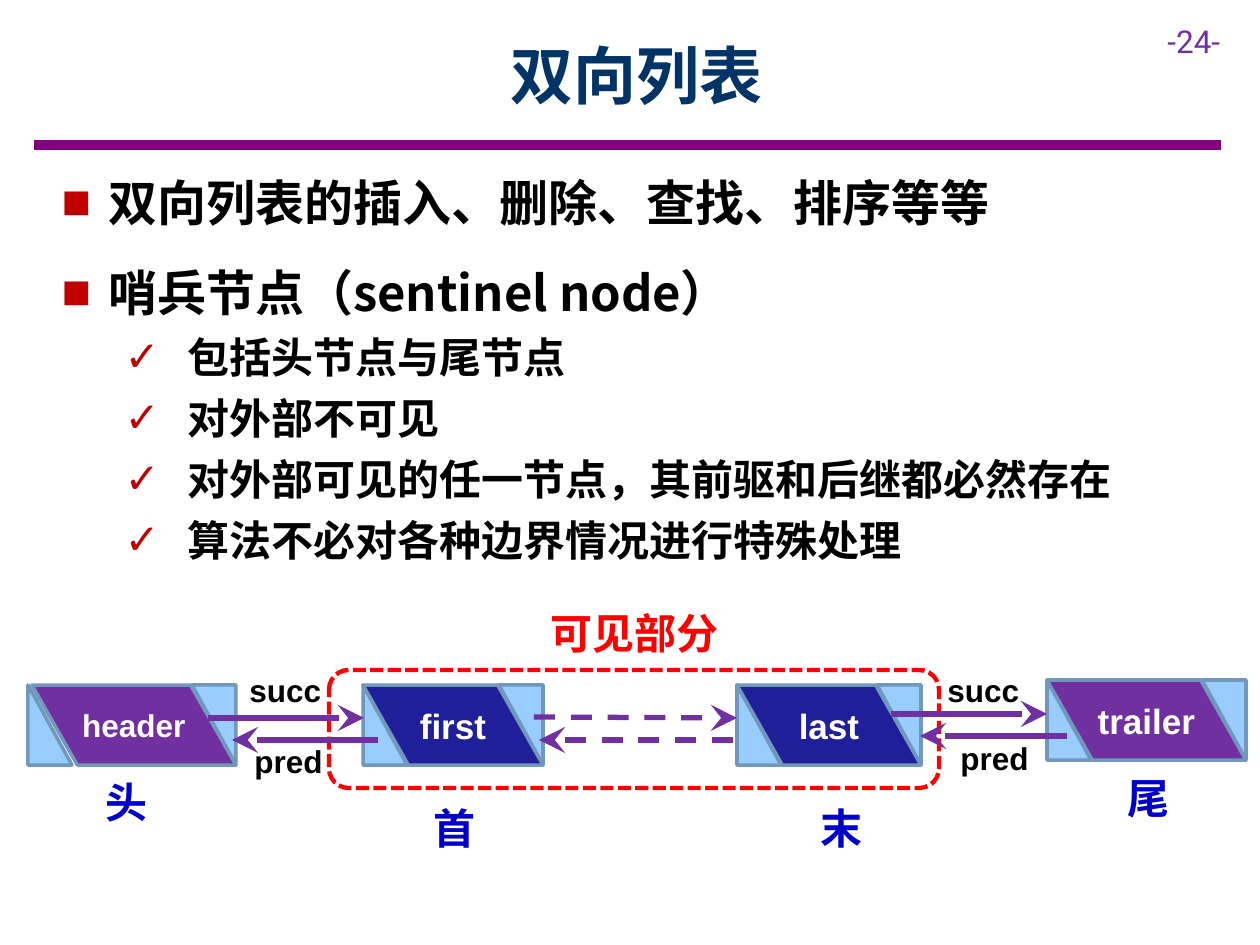
from dataclasses import dataclass

from lxml.etree import SubElement
from pptx import Presentation
from pptx.dml.color import RGBColor
from pptx.enum.dml import MSO_LINE
from pptx.enum.shapes import MSO_CONNECTOR, MSO_SHAPE
from pptx.enum.text import MSO_ANCHOR, MSO_AUTO_SIZE, PP_ALIGN
from pptx.oxml.ns import qn
from pptx.util import Pt

EMU_PER_PX = 914400 / 126
CJK, LATIN = "Noto Sans CJK SC", "Arial"
PURPLE, NAVY, SKY, EDGE = "7030A0", "1F1F99", "99CCFF", "7197BD"
RED, BLUE, BLACK, WHITE, BULLET_RED = "FF0000", "0000CC", "000000", "FFFFFF", "C00000"
NODE_HEIGHT, CORNER_WIDTH = 80, 44


@dataclass
class Node:
    label: str
    left: int
    top: int
    width: int
    color: str
    size: int = 20
    inset: int = 0


@dataclass
class Link:
    start: tuple[int, int]
    end: tuple[int, int]
    dashed: bool = False


@dataclass
class Label:
    text: str
    left: int
    top: int
    width: int
    height: int
    size: int
    color: str
    font: str = CJK
    bold: bool = True


@dataclass
class BulletStyle:
    mark: str
    size: int
    indent: int
    hanging: int
    level: int


SECTION = BulletStyle("■", 28, 47, 47, 0)
DETAIL = BulletStyle("✓", 24, 126, 63, 1)

NODES = [
    Node("header", 28, 685, 208, PURPLE, 18, 4),
    Node("first", 363, 685, 180, NAVY),
    Node("last", 737, 685, 184, NAVY),
    Node("trailer", 1047, 680, 199, PURPLE),
]
LINKS = [
    Link((208, 718), (364, 718)),
    Link((378, 740), (232, 740)),
    Link((891, 714), (1047, 714)),
    Link((1067, 736), (920, 736)),
    Link((534, 717), (737, 718), True),
    Link((733, 740), (539, 740), True),
]
LABELS = [
    Label("-24-", 1155, 16, 105, 50, 18, PURPLE, "Roboto", False),
    Label("可见部分", 538, 601, 198, 63, 24, RED),
    *(Label(text, left, top, 105, 50, 18, BLACK, LATIN) for text, left, top in
      [("succ", 237, 665), ("pred", 242, 736), ("succ", 935, 665), ("pred", 948, 733)]),
    *(Label(text, left, top, 82, 63, 24, BLUE) for text, left, top in
      [("头", 93, 770), ("首", 421, 796), ("末", 808, 796), ("尾", 1115, 766)]),
]
OPERATIONS = [("双向列表的插入、删除、查找、排序等等", SECTION)]
SENTINELS = [
    ("哨兵节点（sentinel node）", SECTION),
    ("包括头节点与尾节点", DETAIL),
    ("对外部不可见", DETAIL),
    ("对外部可见的任一节点，其前驱和后继都必然存在", DETAIL),
    ("算法不必对各种边界情况进行特殊处理", DETAIL),
]


def px(length: int) -> int:
    return round(length * EMU_PER_PX)


def box(*lengths: int) -> list[int]:
    return [px(length) for length in lengths]


def rgb(color: str) -> RGBColor:
    return RGBColor.from_string(color)


def add_run(paragraph, text: str, size: int, color: str, font: str, bold: bool = True) -> None:
    run = paragraph.add_run()
    run.text = text
    run.font.size, run.font.bold, run.font.name = Pt(size), bold, font
    run.font.color.rgb = rgb(color)
    SubElement(run.font._element, qn("a:ea"), typeface=font)


def move(placeholder, left: int, top: int, width: int, height: int) -> None:
    placeholder.left, placeholder.top, placeholder.width, placeholder.height = box(
        left, top, width, height)
    placeholder.text_frame.auto_size = MSO_AUTO_SIZE.NONE


def fill_list(placeholder, items: list[tuple[str, BulletStyle]]) -> None:
    frame = placeholder.text_frame
    for index, (text, style) in enumerate(items):
        paragraph = frame.add_paragraph() if index else frame.paragraphs[0]
        paragraph.level = style.level
        paragraph.space_before, paragraph.space_after = Pt(0), Pt(6)
        properties = paragraph._p.get_or_add_pPr()
        properties.set("marL", str(px(style.indent)))
        properties.set("indent", str(-px(style.hanging)))
        SubElement(SubElement(properties, qn("a:buClr")), qn("a:srgbClr"), val=BULLET_RED)
        SubElement(properties, qn("a:buFont"), typeface=LATIN)
        SubElement(properties, qn("a:buChar"), char=style.mark)
        add_run(paragraph, text, style.size, BLACK, CJK)


def add_label(shapes, label: Label) -> None:
    frame = shapes.add_textbox(*box(label.left, label.top, label.width, label.height)).text_frame
    frame.word_wrap = True
    add_run(frame.paragraphs[0], label.text, label.size, label.color, label.font, label.bold)


def add_block(shapes, kind, bounds: list[int], fill: str, edge: str = EDGE, weight: float = 2):
    block = shapes.add_shape(kind, *bounds)
    block.shadow.inherit = False
    block.fill.solid()
    block.fill.fore_color.rgb = rgb(fill)
    block.line.color.rgb, block.line.width = rgb(edge), Pt(weight)
    return block


def add_node(shapes, node: Node) -> None:
    """Draws a slanted cell with a light triangle in two opposite corners."""
    group = shapes.add_group_shape().shapes
    right_corner = node.left + node.width - CORNER_WIDTH
    for left, rotation in ((node.left, 0), (right_corner, 180)):
        corner = add_block(group, MSO_SHAPE.RIGHT_TRIANGLE,
                           box(left, node.top, CORNER_WIDTH, NODE_HEIGHT), SKY)
        corner.rotation = rotation
    cell = add_block(group, MSO_SHAPE.PARALLELOGRAM,
                     box(node.left + node.inset, node.top, node.width - node.inset, NODE_HEIGHT),
                     node.color)
    cell.adjustments[0] = 0.567
    cell._element.spPr.xfrm.set("flipH", "1")
    frame = cell.text_frame
    frame.word_wrap = False
    frame.vertical_anchor = MSO_ANCHOR.MIDDLE
    frame.paragraphs[0].alignment = PP_ALIGN.CENTER
    add_run(frame.paragraphs[0], node.label, node.size, WHITE, LATIN)


def add_line(shapes, link: Link, color: str, weight: float):
    line = shapes.add_connector(MSO_CONNECTOR.STRAIGHT, *box(*link.start, *link.end))
    line.line.color.rgb, line.line.width = rgb(color), Pt(weight)
    if link.dashed:
        line.line.dash_style = MSO_LINE.DASH
    SubElement(line._element.spPr, qn("a:effectLst"))
    return line


def add_arrow(shapes, link: Link) -> None:
    arrow = add_line(shapes, link, PURPLE, 3)
    SubElement(arrow.line._get_or_add_ln(), qn("a:tailEnd"), type="stealth", w="lg", len="lg")


def main() -> None:
    deck = Presentation()
    deck.slide_width, deck.slide_height = box(1260, 945)
    slide = deck.slides.add_slide(deck.slide_layouts.get_by_name("Two Content"))
    shapes = slide.shapes
    title, operations, sentinels = slide.placeholders

    move(title, 113, 11, 1047, 126)
    title.text_frame.vertical_anchor = MSO_ANCHOR.MIDDLE
    title.text_frame.paragraphs[0].alignment = PP_ALIGN.CENTER
    add_run(title.text_frame.paragraphs[0], "双向列表", 36, "003366", CJK)
    move(operations, 49, 166, 1177, 72)
    fill_list(operations, OPERATIONS)
    move(sentinels, 49, 256, 1177, 318)
    fill_list(sentinels, SENTINELS)

    add_line(shapes, Link((34, 145), (1221, 145)), "800080", 6)
    visible_part = add_block(shapes, MSO_SHAPE.ROUNDED_RECTANGLE, box(329, 670, 610, 118),
                             WHITE, RED, 2.5)
    visible_part.line.dash_style = MSO_LINE.SQUARE_DOT
    for node in NODES:
        add_node(shapes, node)
    for link in LINKS:
        add_arrow(shapes, link)
    for label in LABELS:
        add_label(shapes, label)
    deck.save("out.pptx")


if __name__ == "__main__":
    main()
